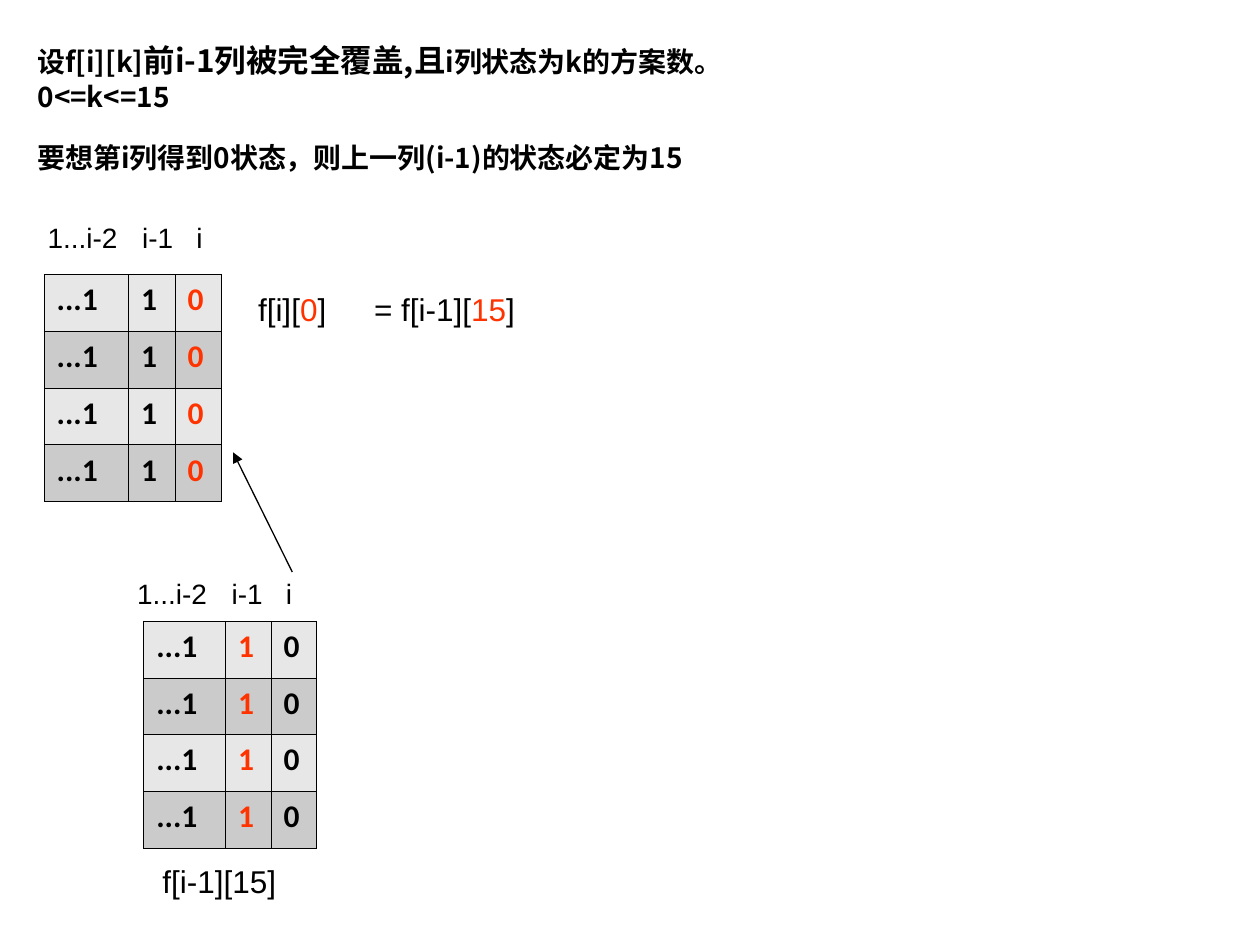
from lxml.etree import SubElement
from pptx import Presentation
from pptx.dml.color import RGBColor
from pptx.enum.shapes import MSO_CONNECTOR
from pptx.oxml.ns import qn
from pptx.util import Inches, Pt

BLACK = RGBColor(0x00, 0x00, 0x00)
RED = RGBColor(0xFF, 0x33, 0x00)
LIGHT = RGBColor(0xE7, 0xE7, 0xE7)
DARK = RGBColor(0xCB, 0xCB, 0xCB)
HAN = "Noto Sans CJK SC"
STATES = ("...1", "1", "0")


class Board:
    def __init__(self, slide):
        self.slide = slide
        self.font = "Arial"

    def style(self, para, size, name, color=BLACK, bold=False):
        font = para.font
        font.size, font.name, font.bold = Pt(size), name, bold
        font.color.rgb = color
        if name == HAN:
            props = para._p.pPr.find(qn("a:defRPr"))
            SubElement(props, qn("a:ea"), typeface=name)

    def text(self, x, y, w, h, *lines, size=16, name=None, bold=False):
        """Each line is a list of runs: (text, font changes)."""
        box = self.slide.shapes.add_textbox(Inches(x), Inches(y), Inches(w), Inches(h))
        frame = box.text_frame
        frame.word_wrap = True
        for i, line in enumerate(lines):
            para = frame.add_paragraph() if i else frame.paragraphs[0]
            self.style(para, size, name or self.font, bold=bold)
            for words, change in line:
                run = para.add_run()
                run.text = words
                if "size" in change:
                    run.font.size = Pt(change["size"])
                if "color" in change:
                    run.font.color.rgb = change["color"]

    def border(self, cell):
        props = cell._tc.get_or_add_tcPr()
        for i, side in enumerate(("a:lnL", "a:lnR", "a:lnT", "a:lnB")):
            line = props.makeelement(qn(side), {"w": str(Pt(0.45))})
            fill = SubElement(line, qn("a:solidFill"))
            SubElement(fill, qn("a:srgbClr"), val=str(BLACK))
            props.insert(i, line)

    def table(self, x, y, widths, red):
        """Draw four equal rows of states, with one column in red."""
        rows, height = 4, 0.45
        frame = self.slide.shapes.add_table(
            rows, len(widths), Inches(x), Inches(y),
            Inches(sum(widths)), Inches(rows * height))
        grid = frame.table
        for col, width in zip(grid.columns, widths):
            col.width = Inches(width)
        for r in range(rows):
            grid.rows[r].height = Inches(height)
            for c, state in enumerate(STATES):
                cell = grid.cell(r, c)
                cell.text = state
                cell.fill.solid()
                cell.fill.fore_color.rgb = DARK if r % 2 else LIGHT
                self.border(cell)
                self.style(cell.text_frame.paragraphs[0], 18, "Calibri",
                           RED if c == red else BLACK, True)

    def heads(self, x, y):
        """Label the columns of a table."""
        for words, dx, w in (("1...i-2", 0, 0.85), ("i-1", 0.75, 0.51), ("i", 1.18, 0.65)):
            self.text(x + dx, y, w, 0.37, [(words, {})])

    def arrow(self, x1, y1, x2, y2):
        line = self.slide.shapes.add_connector(
            MSO_CONNECTOR.STRAIGHT, Inches(x1), Inches(y1), Inches(x2), Inches(y2))
        line.line.color.rgb = BLACK
        line.line.width = Pt(0.75)
        SubElement(line.line._get_or_add_ln(), qn("a:tailEnd"), type="triangle")
        SubElement(line._element.spPr, qn("a:effectLst"))


def main():
    deck = Presentation()
    deck.slide_width, deck.slide_height = Inches(10), Inches(7.5)
    board = Board(deck.slides.add_slide(deck.slide_layouts[6]))

    board.text(0.2, 0.28, 8.58, 0.67,
               [("设f[i][k]", {}), ("前i-1列被完全覆盖,且", {"size": 18}),
                ("i列状态为k的方案数。", {})],
               [("0<=k<=15", {})], name=HAN, bold=True)
    board.text(0.2, 1.07, 7.32, 0.37,
               [("要想第i列得到0状态，则上一列(i-1)的状态必定为15", {})],
               name=HAN, bold=True)

    board.table(0.35, 2.18, (0.67, 0.37, 0.37), red=2)
    board.heads(0.28, 1.7)
    board.table(1.14, 4.93, (0.65, 0.36, 0.36), red=1)
    board.heads(0.99, 4.53)
    board.arrow(2.32, 4.54, 1.85, 3.59)

    red = {"color": RED}
    board.text(1.95, 2.25, 0.93, 0.4, [("f[i][", {}), ("0", red), ("]", {})], size=18)
    board.text(2.87, 2.25, 1.41, 0.4,
               [("= f[i-1][", {}), ("15", red), ("]", {})], size=18)
    board.text(1.19, 6.79, 1.18, 0.4, [("f[i-1][15]", {})], size=18)
    deck.save("out.pptx")


if __name__ == "__main__":
    main()
